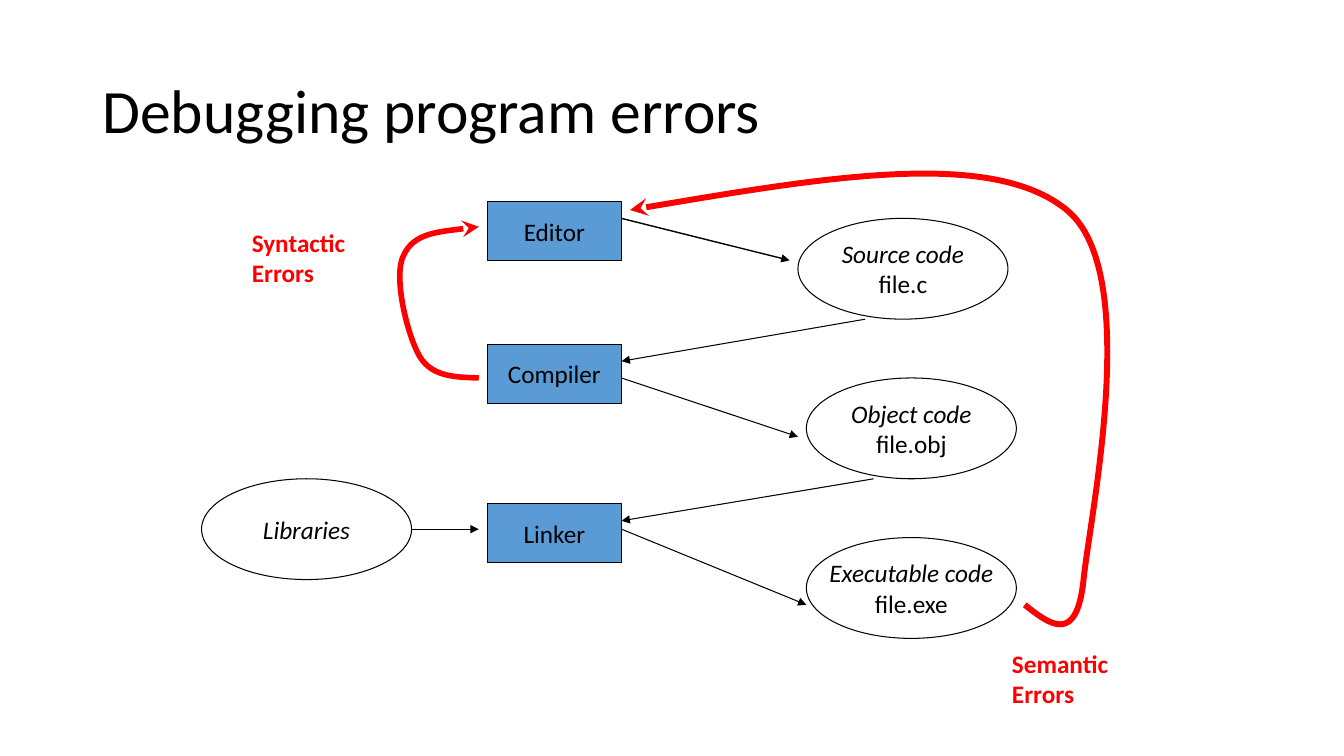
from lxml import etree
from pptx import Presentation
from pptx.dml.color import RGBColor
from pptx.enum.shapes import MSO_CONNECTOR, MSO_SHAPE
from pptx.enum.text import MSO_ANCHOR, MSO_AUTO_SIZE, PP_ALIGN
from pptx.oxml.ns import qn
from pptx.util import Emu, Inches, Pt

BLACK = RGBColor(0, 0, 0)
WHITE = RGBColor(255, 255, 255)
BLUE = RGBColor(0x5B, 0x9B, 0xD5)
RED = RGBColor(255, 0, 0)
RECT, OVAL = MSO_SHAPE.RECTANGLE, MSO_SHAPE.OVAL
LINE = MSO_CONNECTOR.STRAIGHT
MID, TOP = MSO_ANCHOR.MIDDLE, MSO_ANCHOR.TOP
LEFT, CENTER = PP_ALIGN.LEFT, PP_ALIGN.CENTER
GROW = MSO_AUTO_SIZE.SHAPE_TO_FIT_TEXT
FONT = "Calibri"
COLS, ROWS = 160, 90

deck = Presentation()
deck.slide_width = Inches(40 / 3)
deck.slide_height = Inches(7.5)
slide = deck.slides.add_slide(deck.slide_layouts[5])
slide.background.fill.solid()
slide.background.fill.fore_color.rgb = WHITE
shapes = slide.shapes


def cols(n):
    return Emu(round(n * deck.slide_width / COLS))


def rows(n):
    return Emu(round(n * deck.slide_height / ROWS))


def place(box, spot):
    return cols(box[0] + spot[0]), rows(box[1] + spot[1])


def write(frame, lines, color, size=18, align=CENTER, bold=False, slant=False):
    frame.text = "\n".join(lines)
    for i, para in enumerate(frame.paragraphs):
        para.alignment = align
        font = para.font
        font.name, font.size, font.bold = FONT, Pt(size), bold
        font.color.rgb = color
        font.italic = slant and i == 0


def node(box, spot, size, kind, lines, fill=None, slant=False):
    shape = shapes.add_shape(kind, *place(box, spot), cols(size[0]), rows(size[1]))
    shape.shadow.inherit = False
    if fill is None:
        shape.fill.background()
    else:
        shape.fill.solid()
        shape.fill.fore_color.rgb = fill
    shape.line.color.rgb = BLACK
    shape.line.width = Pt(0.75)
    frame = shape.text_frame
    frame.word_wrap = False
    frame.vertical_anchor = MID
    write(frame, lines, BLACK, slant=slant)


def tip(shape, color, width, kind):
    shape.line.color.rgb = color
    shape.line.width = Pt(width)
    etree.SubElement(shape.line._get_or_add_ln(), qn("a:tailEnd"), type=kind)


def arrow(box, start, end, width=0.75):
    link = shapes.add_connector(LINE, *place(box, start), *place(box, end))
    tip(link, BLACK, width, "triangle")
    etree.SubElement(link._element.spPr, qn("a:effectLst"))


def curve(box, points, width):
    spots = [place(box, p) for p in points]
    pen = shapes.build_freeform(*spots[0])
    pen.add_line_segments(spots[1:], close=False)
    shape = pen.convert_to_shape()
    shape.shadow.inherit = False
    shape.fill.background()
    steps = list(shape._element.iter(qn("a:lnTo")))
    for i in range(0, len(steps), 3):
        bend = etree.Element(qn("a:cubicBezTo"))
        steps[i].addprevious(bend)
        for step in steps[i:i + 3]:
            bend.append(step[0])
            step.getparent().remove(step)
    tip(shape, RED, width, "stealth")


def label(box, lines):
    note = shapes.add_textbox(*place(box, (0, 0)), cols(box[2]), rows(box[3]))
    frame = note.text_frame
    frame.word_wrap = False
    frame.auto_size = GROW
    frame.vertical_anchor = TOP
    write(frame, lines, RED, align=LEFT, bold=True)


def title(box, text):
    head = shapes.title
    head.left, head.top = place(box, (0, 0))
    head.width, head.height = cols(box[2]), rows(box[3])
    head.text_frame.vertical_anchor = MID
    write(head.text_frame, [text], BLACK, 44, LEFT)
    head.text_frame.paragraphs[0].line_spacing = 0.9


def tools(box):
    for y, name in ((0, "Editor"), (17, "Compiler"), (36, "Linker")):
        node(box, (0, y), (box[2], 7), RECT, [name], BLUE)


def files(box):
    names = (("Source code", "file.c"), ("Object code", "file.obj"),
             ("Executable code", "file.exe"))
    for i, pair in enumerate(names):
        node(box, (min(i, 1), 19 * i), (25, 12), OVAL, pair, slant=True)


def links(box):
    right = box[2]
    arrow(box, (0, 0), (right - 2, 5), 1)
    arrow(box, (0, 19), (right - 1, 26))
    arrow(box, (0, 37), (right, 46))
    arrow(box, (29, 12), (0, 17))
    arrow(box, (30, 31), (0, 36))


def library(box):
    node(box, (0, 0), (25, box[3]), OVAL, ["Libraries"], slant=True)
    arrow(box, (25, box[3] / 2), (box[2], box[3] / 2), 1)


def syntax(box):
    curve(box, [(10, 18), (7.25, 17.9), (4.5, 17.9), (3, 15.5),
                (1.5, 13), (-0.2, 6), (1, 3.5),
                (2.2, 0.8), (6, 0.5), (10, 0)], 4)


def meaning(box):
    curve(box, [(47, 47), (50, 49.4), (53.2, 51.8), (54, 44),
                (54.8, 36.2), (61, 7.3), (52, 0),
                (43, -7.4), (21.5, -3.6), (0, 0)], 4.25)


title((11, 4.8, 138, 17.4), "Debugging program errors")
tools((58, 24, 16, 43))
files((95, 26, 26, 50))
links((74, 26, 22, 46))
library((24, 57, 33, 12))
syntax((47, 27, 10, 18))
label((28.8, 26.5, 13.7, 8.5), ["Syntactic", "Errors"])
meaning((75, 25, 61, 47))
label((119.3, 76.6, 13.9, 8.5), ["Semantic", "Errors"])
deck.save("out.pptx")
